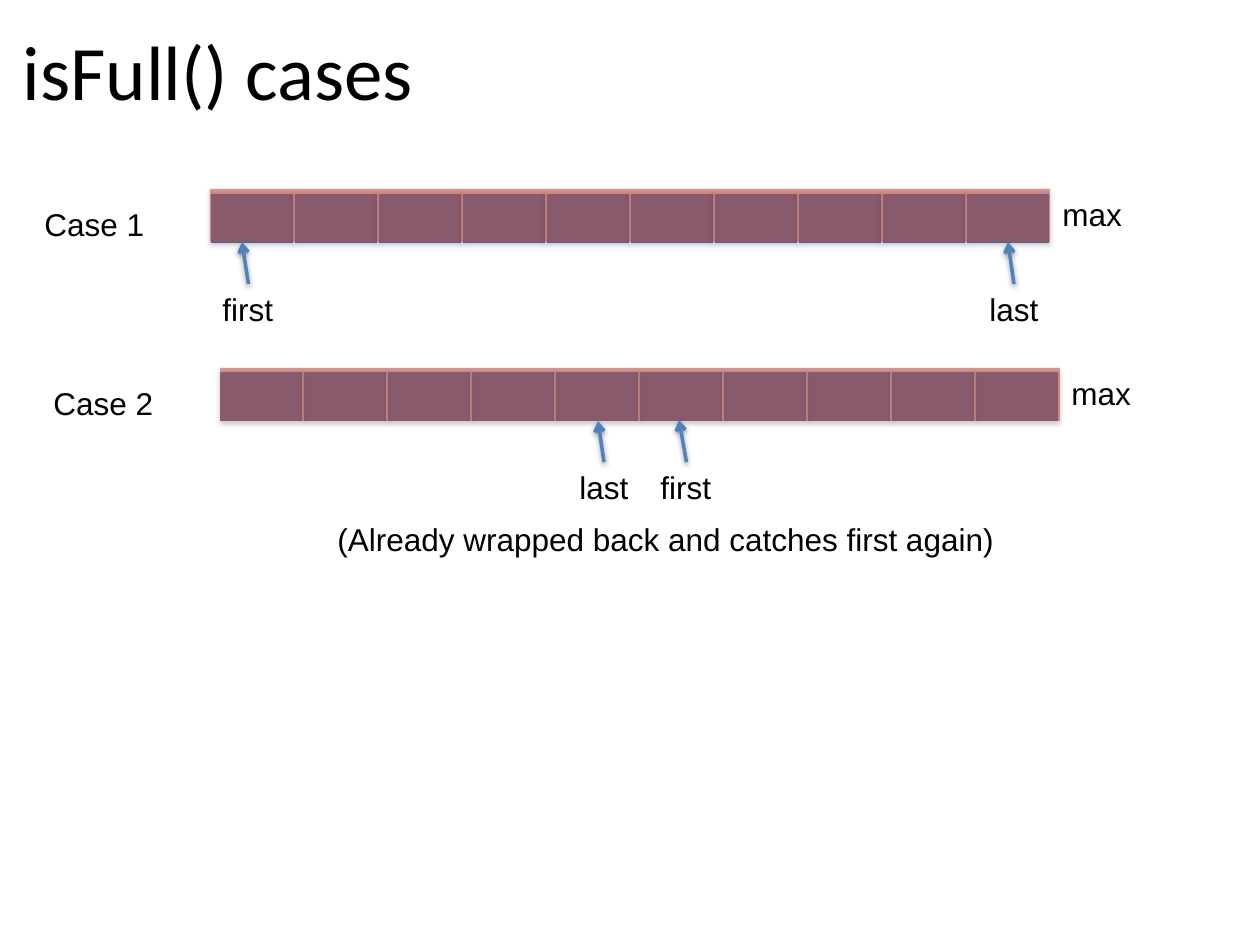
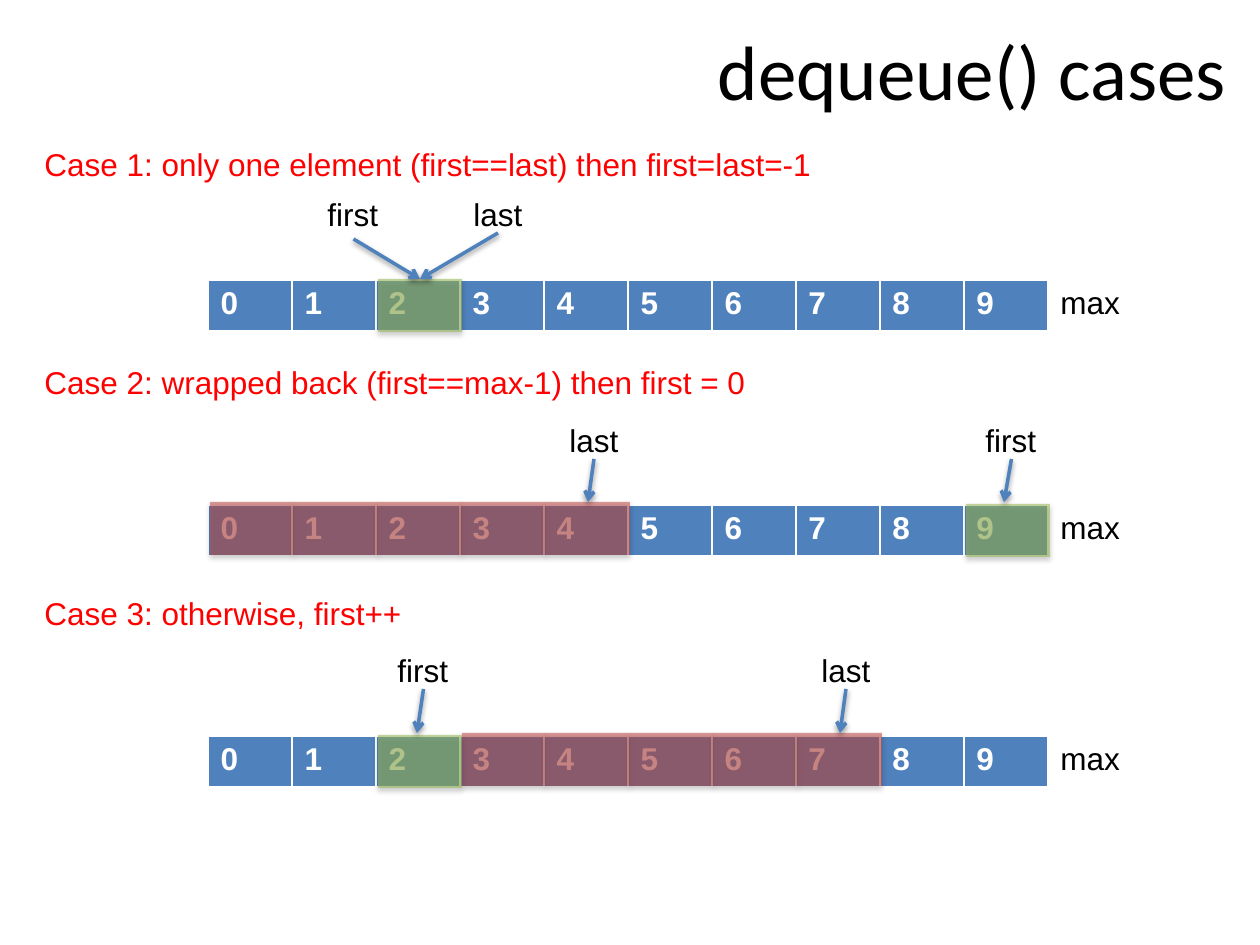
import lxml.etree
import pptx
import pptx.dml.color
import pptx.enum.shapes
import pptx.enum.text
import pptx.oxml.ns
import pptx.util

PX = pptx.util.Inches(1) / 126
CELL, ROW, SLOT_HEIGHT, CELL_COUNT = 84, 52, 53, 10
LABEL_HEIGHT = 50
LABEL_WIDTHS = {"first": 77, "last": 74, "max": 86}
BLACK, WHITE, RED = "000000", "FFFFFF", "FF0000"
BLUE, USED, FRONT = "4F81BD", "C0504D", "9BBB59"
TOP, BOTTOM = 0, 2


def emu(*lengths):
    return [round(length * PX) for length in lengths]


def colour(code):
    return pptx.dml.color.RGBColor.from_string(code)


def assign(target, values):
    for name, value in values.items():
        setattr(target, name, value)


def child(parent, tag, **attributes):
    """Append a DrawingML element to parent."""
    return lxml.etree.SubElement(
        parent, pptx.oxml.ns.qn(f"a:{tag}"),
        {name: str(value) for name, value in attributes.items()})


def add_shadow(item, opacity, distance):
    """Give the item a soft shadow straight below; its line must be set first."""
    shadow = child(child(item.element.spPr, "effectLst"), "outerShdw",
                   blurRad=pptx.util.Pt(3.1), dist=pptx.util.Pt(distance),
                   dir=90 * 60000, rotWithShape=0)
    child(child(shadow, "srgbClr", val=BLACK), "alpha", val=opacity * 1000)


def add_borders(cell):
    properties = cell._tc.get_or_add_tcPr()
    for side, points in (("lnL", 1), ("lnR", 1), ("lnT", 1), ("lnB", 3)):
        border = child(properties, side, w=pptx.util.Pt(points))
        child(child(border, "solidFill"), "srgbClr", val=WHITE)


class QueueDeck:
    def __init__(self):
        self.deck = pptx.Presentation()
        self.deck.slide_width, self.deck.slide_height = emu(1260, 945)
        self.page = None

    def add_text(self, frame, text, size=18, font="Arial", ink=BLACK, bold=False):
        para = frame.paragraphs[0]
        span = para.add_run()
        span.text = text
        assign(span.font, {"size": pptx.util.Pt(size), "name": font, "bold": bold})
        span.font.color.rgb = colour(ink)
        return para

    def new_page(self, title, align):
        self.page = self.deck.slides.add_slide(self.deck.slide_layouts[5])
        box = self.page.shapes.title
        assign(box, dict(zip(("left", "top", "width", "height"), emu(10, 10, 1229, 120))))
        box.text_frame.vertical_anchor = pptx.enum.text.MSO_ANCHOR.MIDDLE
        para = self.add_text(box.text_frame, title, size=44, font="Calibri")
        para.alignment = align

    def label(self, text, left, top, width=None, ink=BLACK):
        width = width or LABEL_WIDTHS[text]
        box = self.page.shapes.add_textbox(*emu(left, top, width, LABEL_HEIGHT))
        assign(box.text_frame, {
            "word_wrap": False,
            "auto_size": pptx.enum.text.MSO_AUTO_SIZE.SHAPE_TO_FIT_TEXT})
        self.add_text(box.text_frame, text, ink=ink)
        return box

    def array(self, left, top, numbered=False):
        """Draw the queue's storage as a one-row table."""
        table = self.page.shapes.add_table(
            1, CELL_COUNT, *emu(left, top, CELL * CELL_COUNT, ROW)).table
        for index, cell in enumerate(table.rows[0].cells):
            add_borders(cell)
            cell.fill.solid()
            cell.fill.fore_color.rgb = colour(BLUE)
            if numbered:
                self.add_text(cell.text_frame, str(index), ink=WHITE, bold=True)

    def slots(self, left, top, indexes, tint):
        """Tint the cells at these indexes and return the shapes by index."""
        shapes = {}
        for index in indexes:
            slot = self.page.shapes.add_shape(
                pptx.enum.shapes.MSO_SHAPE.RECTANGLE,
                *emu(left + index * CELL, top, CELL, SLOT_HEIGHT))
            slot.fill.solid()
            slot.fill.fore_color.rgb = colour(tint)
            fill = next(slot.element.spPr.iter(pptx.oxml.ns.qn("a:srgbClr")))
            child(fill, "alpha", val=58000)
            slot.line.fill.background()
            add_shadow(slot, 35, 1.8)
            shapes[index] = slot
        return shapes

    def pointer(self, word, left, top, target, side, overlap=0):
        """Label with an arrow from its side to a slot's facing side or an (x, y) tip."""
        box = self.label(word, left, top)
        start = (left + LABEL_WIDTHS[word] / 2,
                 top + (LABEL_HEIGHT - overlap if side == BOTTOM else 0))
        joins_slot = not isinstance(target, tuple)
        tip = start if joins_slot else target
        arrow = self.page.shapes.add_connector(
            pptx.enum.shapes.MSO_CONNECTOR.STRAIGHT, *emu(*start, *tip))
        if not overlap:
            arrow.begin_connect(box, side)
        if joins_slot:
            arrow.end_connect(target, TOP if side == BOTTOM else BOTTOM)
        arrow.line.color.rgb = colour(BLUE)
        arrow.line.width = pptx.util.Pt(2)
        outline = arrow.element.spPr.find(pptx.oxml.ns.qn("a:ln"))
        child(outline, "tailEnd", type="arrow")
        add_shadow(arrow, 38, 1.6)


def add_full_cases(show):
    show.new_page("isFull() cases", pptx.enum.text.PP_ALIGN.LEFT)

    show.array(210, 193)
    slots = show.slots(210, 189, range(CELL_COUNT), USED)
    show.label("Case 1", 32, 199, 126)
    show.label("max", 1050, 189)
    show.pointer("first", 210, 284, (242, 242), TOP)
    show.pointer("last", 977, 284, slots[9], TOP)

    show.array(219, 371)
    slots = show.slots(220, 368, range(CELL_COUNT), USED)
    show.label("Case 2", 41, 378, 126)
    show.label("max", 1059, 368)
    show.pointer("last", 567, 462, slots[4], TOP)
    show.pointer("first", 648, 462, (679, 420), TOP)
    show.label("(Already wrapped back and catches first again)", 325, 514, 688)


def add_dequeue_cases(show):
    show.new_page("dequeue() cases", pptx.enum.text.PP_ALIGN.RIGHT)
    cases = (
        # caption, width, caption top, array top, front index, used indexes
        ("Case 1: only one element (first==last) then first=last=-1",
         800, 139, 280, 2, ()),
        ("Case 2: wrapped back (first==max-1) then first = 0",
         742, 357, 505, 9, range(5)),
        ("Case 3: otherwise, first++", 394, 588, 736, 2, range(3, 8)),
    )
    fronts, used = [], []
    for caption, width, caption_top, top, front, indexes in cases:
        show.label(caption, 32, caption_top, width, RED)
        show.array(208, top, numbered=True)
        used.append(show.slots(210, top - 3, indexes, USED))
        fronts.append(show.slots(210, top - 1, [front], FRONT)[front])
        show.label("max", 1048, top - 3)

    show.pointer("first", 315, 189, fronts[0], BOTTOM)
    show.pointer("last", 461, 189, fronts[0], BOTTOM, overlap=6)
    show.pointer("first", 973, 415, (1004, 502), BOTTOM, overlap=6)
    show.pointer("last", 557, 415, used[1][4], BOTTOM, overlap=6)
    show.pointer("first", 385, 645, (417, 733), BOTTOM, overlap=6)
    show.pointer("last", 809, 645, used[2][7], BOTTOM, overlap=6)


def main():
    show = QueueDeck()
    add_full_cases(show)
    add_dequeue_cases(show)
    show.deck.save("out.pptx")


if __name__ == "__main__":
    main()
